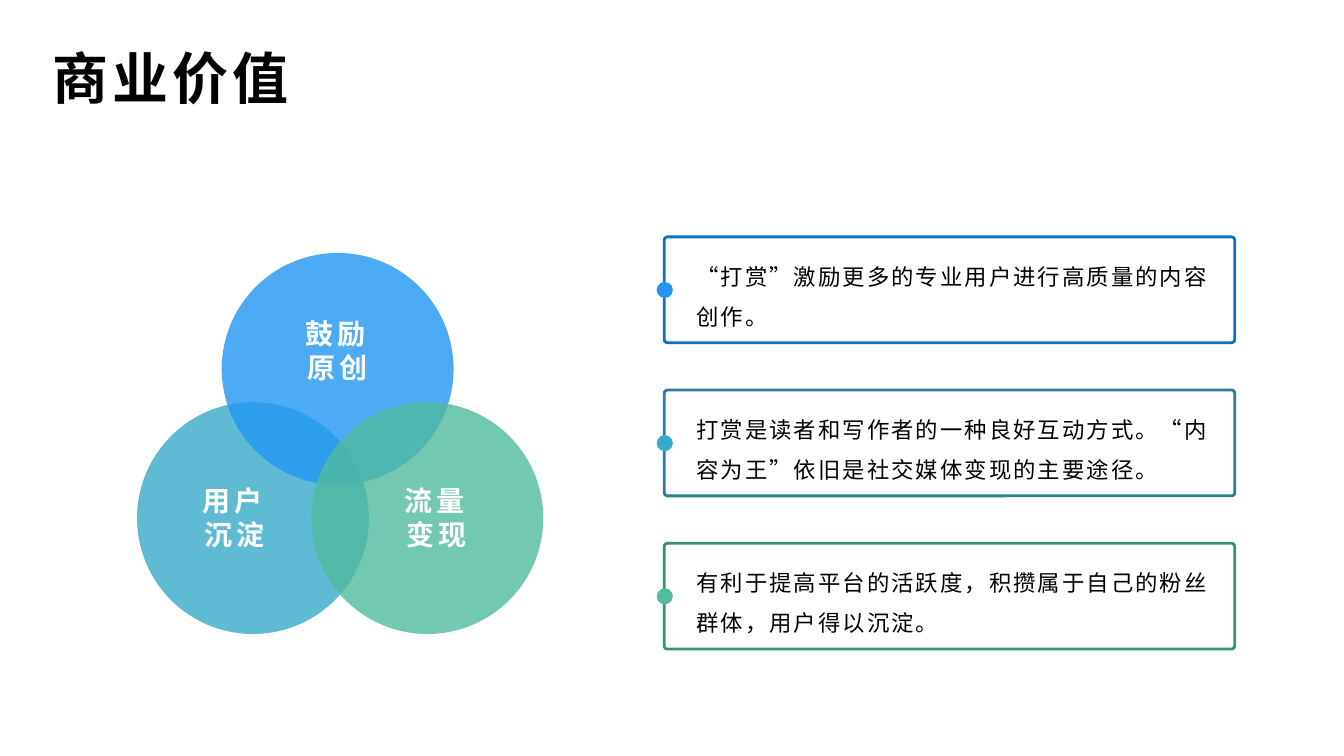
from dataclasses import dataclass

from lxml import etree
from pptx import Presentation
from pptx import util as u
from pptx.dml.color import RGBColor
from pptx.enum import shapes, text
from pptx.oxml import ns


@dataclass(frozen=True)
class Theme:
    font: str = "Noto Sans CJK SC"
    ink: str = "000000"
    paper: str = "FFFFFF"
    blue: str = "2196F3"
    navy: str = "0B72C4"
    teal: str = "38A9C9"
    sea: str = "297F98"
    green: str = "50BB9F"
    pine: str = "389079"
    head: int = 40
    label: int = 20
    body: int = 16


class Deck:
    def __init__(self, theme):
        self.theme = theme
        self.file = Presentation()
        self.file.slide_width = u.Pt(960)
        self.file.slide_height = u.Pt(540)
        self.slide = self.file.slides.add_slide(self.file.slide_layouts[5])

    def letter(self, shape, words, size, color, bold, gap, lead, align):
        frame = shape.text_frame
        frame.text = words
        frame.word_wrap = True
        frame.auto_size = text.MSO_AUTO_SIZE.NONE
        frame.vertical_anchor = text.MSO_ANCHOR.MIDDLE
        para = frame.paragraphs[0]
        para.alignment = align
        para.line_spacing = lead
        for run in para.runs:
            font = run.font
            font.size = u.Pt(size)
            font.bold = bold
            font.color.rgb = RGBColor.from_string(color)
            font.name = self.theme.font
            props = run._r.get_or_add_rPr()
            props.set("spc", str(int(gap * 100)))
            east = etree.SubElement(props, ns.qn("a:ea"))
            east.set("typeface", self.theme.font)

    def title(self, words, x, y, w, h):
        box = self.slide.shapes.title
        box.left, box.top, box.width, box.height = map(u.Pt, (x, y, w, h))
        self.letter(box, words, self.theme.head, self.theme.ink, True, 3, 1.2,
                    text.PP_ALIGN.LEFT)

    def label(self, words, x, y, w, h):
        box = self.slide.shapes.add_textbox(*map(u.Pt, (x, y, w, h)))
        self.letter(box, words, self.theme.label, self.theme.paper, True, 3, 1,
                    text.PP_ALIGN.CENTER)

    def note(self, words, x, y, w, h):
        box = self.slide.shapes.add_textbox(*map(u.Pt, (x, y, w, h)))
        self.letter(box, words, self.theme.body, self.theme.ink, False, 1.5, 1.5,
                    text.PP_ALIGN.LEFT)

    def shape(self, kind, fill, x, y, w, h):
        item = self.slide.shapes.add_shape(kind, *map(u.Pt, (x, y, w, h)))
        item.shadow.inherit = False
        item.fill.solid()
        item.fill.fore_color.rgb = RGBColor.from_string(fill)
        item.line.fill.background()
        return item

    def disc(self, fill, x, y, size, alpha=100):
        item = self.shape(shapes.MSO_SHAPE.OVAL, fill, x, y, size, size)
        if alpha < 100:
            color = item._element.spPr.find(".//" + ns.qn("a:srgbClr"))
            etree.SubElement(color, ns.qn("a:alpha")).set("val", str(alpha * 1000))

    def frame(self, edge, x, y, w, h):
        item = self.shape(shapes.MSO_SHAPE.ROUNDED_RECTANGLE, self.theme.paper,
                          x, y, w, h)
        item.adjustments[0] = 0.03
        item.line.color.rgb = RGBColor.from_string(edge)
        item.line.width = u.Pt(2)

    def card(self, words, edge, fill, x, y):
        self.frame(edge, x, y, 407.5, 75.6)
        self.disc(fill, x - 5.4, y + 32.2, 11.5)
        self.note(words, x + 15.8, y + 9, 380.9, 57.6)


def main():
    theme = Theme()
    deck = Deck(theme)
    deck.title("商业价值", 30.2, 28.1, 889.2, 44.6)

    cards = [
        ("“打赏”激励更多的专业用户进行高质量的内容创作。", theme.navy, theme.blue),
        ("打赏是读者和写作者的一种良好互动方式。“内容为王”依旧是社交媒体变现的主要途径。",
         theme.sea, theme.teal),
        ("有利于提高平台的活跃度，积攒属于自己的粉丝群体，用户得以沉淀。",
         theme.pine, theme.green),
    ]
    for row, (words, edge, fill) in enumerate(cards):
        deck.card(words, edge, fill, 474.5, 169.2 + row * 109.4)

    low, high = 287.3, 180.7
    for fill, x, y in [(theme.teal, 97.9, low), (theme.blue, 158.4, high),
                       (theme.green, 222.5, low)]:
        deck.disc(fill, x, y, 165.6, 80)
    for words, x, y in [("鼓励原创", 205.9, 222.5), ("用户沉淀", 132.5, 342),
                        ("流量变现", 276.5, 342)]:
        deck.label(words, x, y, 70.6, 55.4)

    deck.file.save("out.pptx")


if __name__ == "__main__":
    main()
